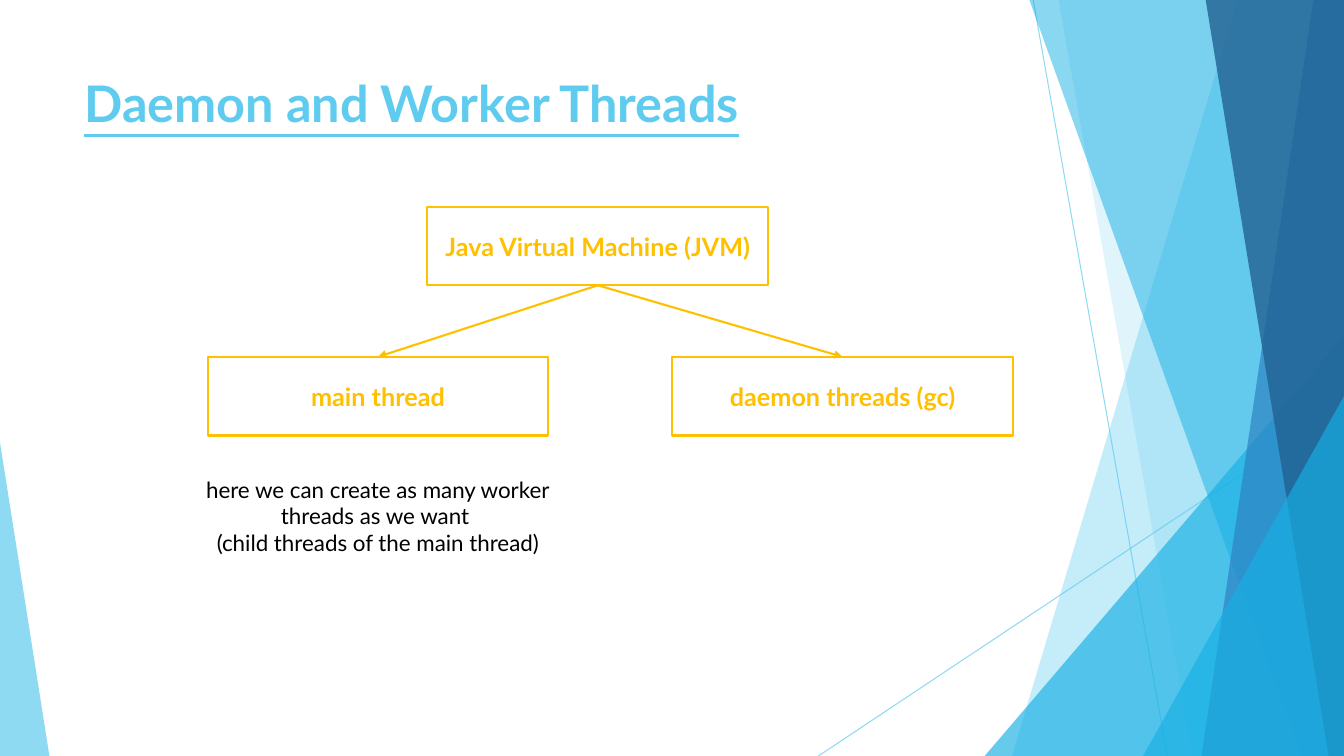
import pptx
import pptx.util
import pptx.dml.color
import pptx.enum.shapes
import pptx.enum.text
import pptx.oxml
import pptx.oxml.ns
import lxml.etree

Pt = pptx.util.Pt
Kind = pptx.enum.shapes.MSO_SHAPE
Align = pptx.enum.text.PP_ALIGN
Anchor = pptx.enum.text.MSO_ANCHOR
WIDE, HIGH = 960, 540
BLEED = -0.6
HUES = {
    "sky": "5FCBEF", "cyan": "17B0E4", "blue": "2E83C3", "navy": "226292",
    "gold": "FFC000", "white": "FFFFFF", "black": "000000",
}


class Deck:
    def __init__(self, font):
        self.font = font
        self.prs = pptx.Presentation()
        self.prs.slide_width, self.prs.slide_height = Pt(WIDE), Pt(HIGH)
        self.slide = self.prs.slides.add_slide(self.prs.slide_layouts[6])
        self.shapes = self.slide.shapes

    def paint(self, fill, hue, alpha=100):
        fill.solid()
        fill.fore_color.rgb = pptx.dml.color.RGBColor.from_string(HUES[hue])
        if alpha < 100:
            tag = pptx.oxml.ns.qn("a:srgbClr")
            clr = next(fill._xPr.iter(tag))
            node = lxml.etree.SubElement(clr, pptx.oxml.ns.qn("a:alpha"))
            node.set("val", str(alpha * 1000))

    def pane(self, top, foot, hue, alpha):
        """Panel from a slanted left edge to the right side of the slide."""
        pen = self.shapes.build_freeform(Pt(top), Pt(BLEED))
        pen.add_line_segments([(Pt(WIDE), Pt(BLEED)), (Pt(WIDE), Pt(HIGH)),
                               (Pt(foot), Pt(HIGH))], close=True)
        shape = pen.convert_to_shape()
        shape.shadow.inherit = False
        shape.line.fill.background()
        self.paint(shape.fill, hue, alpha)

    def wedge(self, left, top, wide, tip, hue, alpha):
        """Triangle standing on the bottom edge of the slide."""
        shape = self.shapes.add_shape(Kind.ISOSCELES_TRIANGLE, Pt(left),
                                      Pt(top), Pt(wide), Pt(HIGH - top))
        shape.adjustments[0] = tip
        shape.shadow.inherit = False
        shape.line.fill.background()
        self.paint(shape.fill, hue, alpha)

    def line(self, ends, hue, width, alpha=100):
        link = self.shapes.add_connector(
            pptx.enum.shapes.MSO_CONNECTOR.STRAIGHT, *map(Pt, ends))
        link.line.width = Pt(width)
        self.paint(link.line.fill, hue, alpha)
        props = link._element.spPr
        lxml.etree.SubElement(props, pptx.oxml.ns.qn("a:effectLst"))
        return link

    def arrow(self, source, target):
        link = self.line((0, 0, 0, 0), "gold", 1.5)
        link.begin_connect(source, 2)
        link.end_connect(target, 0)
        stroke = link._element.spPr.find(pptx.oxml.ns.qn("a:ln"))
        head = lxml.etree.SubElement(stroke, pptx.oxml.ns.qn("a:tailEnd"))
        head.set("type", "triangle")

    def label(self, shape, lines, size, hue, align=Align.CENTER,
              bold=False, under=False):
        frame = shape.text_frame
        for i, words in enumerate(lines):
            para = frame.add_paragraph() if i else frame.paragraphs[0]
            para.alignment = align
            run = para.add_run()
            run.text = words
            run.font.name, run.font.size = self.font, Pt(size)
            run.font.bold, run.font.underline = bold, under
            self.paint(run.font.fill, hue)

    def box(self, left, top, words):
        shape = self.shapes.add_shape(Kind.RECTANGLE, Pt(left), Pt(top),
                                      Pt(243.4), Pt(56.2))
        shape.shadow.inherit = False
        self.paint(shape.fill, "white")
        self.paint(shape.line.fill, "gold")
        shape.line.width = Pt(1.5)
        shape.text_frame.word_wrap = True
        shape.text_frame.vertical_anchor = Anchor.MIDDLE
        self.label(shape, [words], 18, "gold", bold=True)
        return shape

    def text(self, area, lines, size, hue, wrap=True, **style):
        shape = self.shapes.add_textbox(*map(Pt, area))
        shape.text_frame.word_wrap = wrap
        self.label(shape, lines, size, hue, **style)


def main():
    deck = Deck("Lato")

    # Backdrop of slanted panels
    deck.line((738, 0, 833.8, HIGH), "sky", 0.75, 70)
    deck.line((WIDE, 290.2, 584.6, HIGH), "sky", 0.75, 70)
    deck.pane(884.2, 722.9, "sky", 36)
    deck.pane(756, 851.8, "sky", 20)
    deck.wedge(703.4, 239.8, 256.6, 1, "cyan", 66)
    deck.pane(735.1, 929.5, "cyan", 50)
    deck.pane(938.2, 858.2, "blue", 70)
    deck.pane(861.1, 949, "navy", 80)
    deck.wedge(816.5, 283, 143.5, 1, "cyan", 66)
    deck.wedge(0, 316.1, 35.3, 0, "sky", 70)

    # Title
    deck.text((53.3, 48.2, 676.8, 103.7), ["Daemon and Worker Threads"], 36,
              "sky", align=Align.LEFT, bold=True, under=True)

    # Thread tree
    root = deck.box(305.3, 147.6, "Java Virtual Machine (JVM)")
    kids = [deck.box(left, 254.9, words) for left, words in
            ((148.3, "main thread"), (480.2, "daemon threads (gc)"))]
    for kid in kids:
        deck.arrow(root, kid)

    # Note under the main thread
    deck.text((133.2, 336.2, 273.6, 65.5),
              ["here we can create as many worker", "threads as we want ",
               "(child threads of the main thread)"], 16, "black", wrap=False)

    deck.prs.save("out.pptx")


if __name__ == "__main__":
    main()
